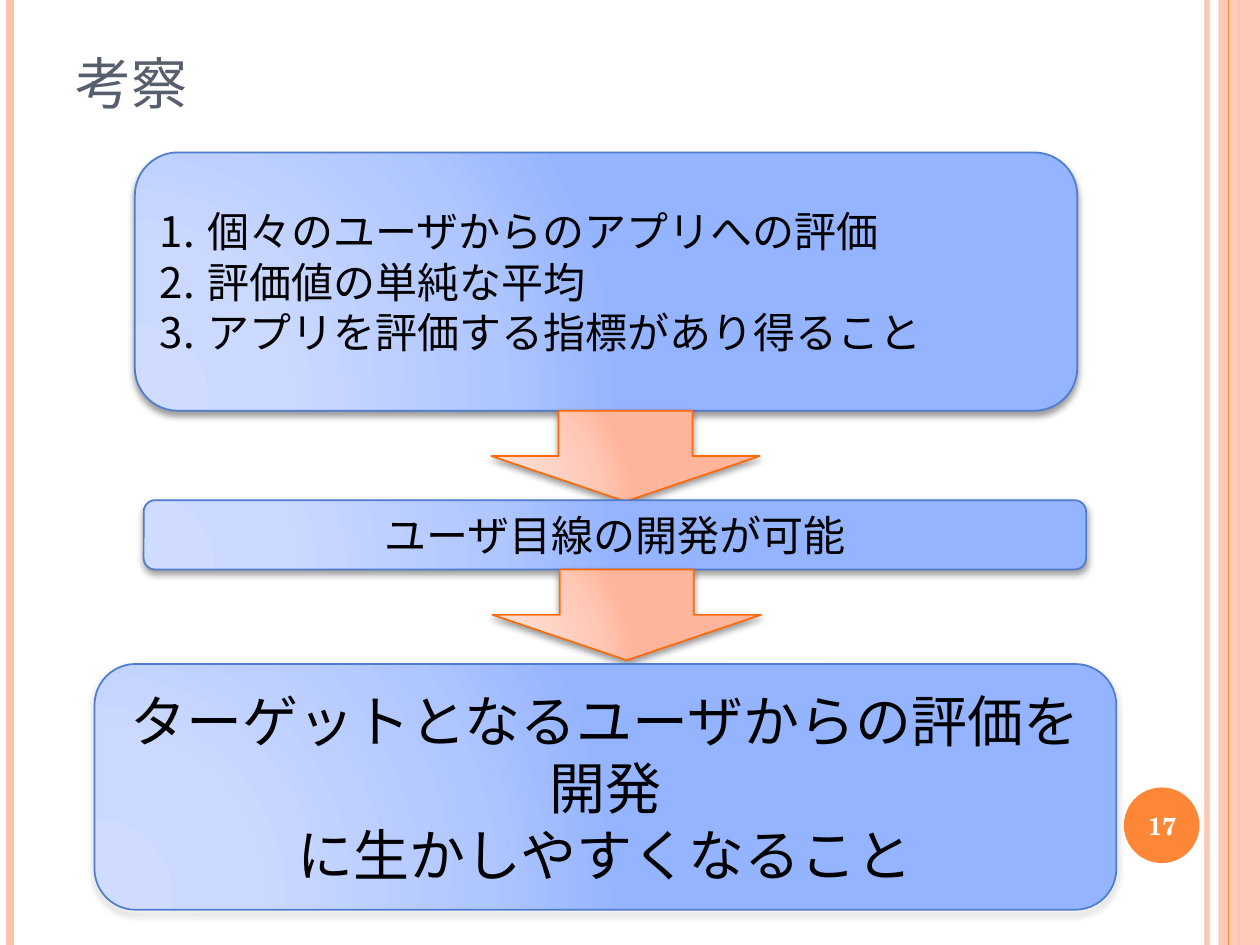
from lxml import etree
from pptx import Presentation
from pptx.dml.color import RGBColor
from pptx.enum.lang import MSO_LANGUAGE_ID as LANGUAGE
from pptx.enum.shapes import MSO_CONNECTOR, MSO_SHAPE
from pptx.enum.text import MSO_ANCHOR as ANCHOR, PP_ALIGN as ALIGN
from pptx.oxml import parse_xml
from pptx.oxml.ns import nsdecls, qn
from pptx.util import Inches, Pt

COLORS = {"peach": "FEC3AE", "orange": "FE8637", "title": "575F6D",
          "black": "000000", "white": "FFFFFF",
          "box_line": "4F7CCF", "arrow_line": "FF6B0A"}
GRADIENTS = {"box": ["CFDCFF", "CBD9FF", "AFC6FF", "95B4FF"],
             "arrow": ["FFDED5", "FFDBD0", "FFC8B6", "FFB59B"]}
STOPS = [0, 30, 75, 100]
SERIF = "TeX Gyre Schola"


def add_block(preset, kind, box):
    """Add a shape with a radial gradient, a thin outline and a soft shadow."""
    shape = slide.shapes.add_shape(preset, *map(Inches, box))
    shape.shadow.inherit = False
    shape.line.color.rgb = RGBColor.from_string(COLORS[kind + "_line"])
    shape.line.width = Pt(1)
    properties = shape._element.spPr
    stops = "".join(
        f'<a:gs pos="{stop * 1000}"><a:srgbClr val="{color}"/></a:gs>'
        for stop, color in zip(STOPS, GRADIENTS[kind]))
    properties.find(qn("a:prstGeom")).addnext(parse_xml(
        f'<a:gradFill {nsdecls("a")} rotWithShape="1"><a:gsLst>{stops}</a:gsLst>'
        '<a:path path="circle"><a:fillToRect l="5000" t="100000" r="120000" '
        'b="10000"/></a:path></a:gradFill>'))
    properties.find(qn("a:effectLst")).append(parse_xml(
        f'<a:outerShdw {nsdecls("a")} blurRad="{Pt(4)}" dist="{Pt(2)}" '
        'dir="5400000" rotWithShape="0"><a:srgbClr val="000000">'
        '<a:alpha val="40000"/></a:srgbClr></a:outerShdw>'))
    return shape


def write_text(shape, lines, size, color="black", font=SERIF, bold=False,
               align=ALIGN.CENTER, anchor=ANCHOR.MIDDLE, numbered=False):
    frame = shape.text_frame
    frame.word_wrap = True
    frame.vertical_anchor = anchor
    for index, line in enumerate(lines):
        paragraph = frame.paragraphs[0] if index == 0 else frame.add_paragraph()
        paragraph.alignment = align
        if numbered:
            settings = paragraph._p.get_or_add_pPr()
            settings.set("marL", str(Inches(0.38)))
            settings.set("indent", str(-Inches(0.38)))
            etree.SubElement(settings, qn("a:buFont"), typeface="+mj-lt")
            etree.SubElement(settings, qn("a:buAutoNum"), type="arabicPeriod")
        run = paragraph.add_run()
        run.text = line
        styles = {"size": Pt(size), "name": font, "bold": bold,
                  "language_id": LANGUAGE.JAPANESE}
        for name, value in styles.items():
            setattr(run.font, name, value)
        run.font.color.rgb = RGBColor.from_string(COLORS[color])


presentation = Presentation()
presentation.slide_width = Inches(10)
presentation.slide_height = Inches(7.5)
slide = presentation.slides.add_slide(presentation.slide_layouts[6])

# Side band and page number disc
for preset, box, color, alpha in [
        (MSO_SHAPE.RECTANGLE, (9.67, 0, 0.33, 7.5), "peach", 87),
        (MSO_SHAPE.OVAL, (8.92, 6.25, 0.6, 0.6), "orange", 100)]:
    shape = slide.shapes.add_shape(preset, *map(Inches, box))
    shape.shadow.inherit = False
    shape.fill.solid()
    shape.fill.fore_color.rgb = RGBColor.from_string(COLORS[color])
    shape.line.fill.background()
    if alpha < 100:
        fill_color = shape._element.spPr.find(".//" + qn("a:srgbClr"))
        etree.SubElement(fill_color, qn("a:alpha"), val=str(alpha * 1000))

# Vertical rules
for x, color, width, alpha in [(9.58, "peach", 3, 93), (0.08, "peach", 4.5, 100),
                               (9.83, "peach", 1.5, 100), (9.75, "orange", 0.75, 100)]:
    rule = slide.shapes.add_connector(
        MSO_CONNECTOR.STRAIGHT, Inches(x), 0, Inches(x), Inches(7.5))
    rule.line.color.rgb = RGBColor.from_string(COLORS[color])
    rule.line.width = Pt(width)
    if alpha < 100:
        line_color = rule._element.spPr.find(".//" + qn("a:srgbClr"))
        etree.SubElement(line_color, qn("a:alpha"), val=str(alpha * 1000))
    etree.SubElement(rule._element.spPr, qn("a:effectLst"))

# Title in small capitals
title = slide.shapes.add_textbox(*map(Inches, (0.5, 0.3, 8.17, 0.69)))
write_text(title, ["考察"], 40, "title", align=ALIGN.LEFT, anchor=ANCHOR.BOTTOM)
title.text_frame.paragraphs[0].runs[0].font._element.set("cap", "small")

# Findings, consequence and conclusion
findings = add_block(MSO_SHAPE.ROUNDED_RECTANGLE, "box", (1.07, 1.21, 7.48, 2.05))
write_text(findings, ["個々のユーザからのアプリへの評価", "評価値の単純な平均",
                      "アプリを評価する指標があり得ること"],
           24, font="Times New Roman", align=ALIGN.LEFT, numbered=True)
add_block(MSO_SHAPE.DOWN_ARROW, "arrow", (3.9, 3.26, 2.13, 0.72))
consequence = add_block(MSO_SHAPE.ROUNDED_RECTANGLE, "box", (1.14, 3.97, 7.48, 0.55))
write_text(consequence, ["ユーザ目線の開発が可能"], 24)
add_block(MSO_SHAPE.DOWN_ARROW, "arrow", (3.91, 4.52, 2.13, 0.72))
conclusion = add_block(MSO_SHAPE.ROUNDED_RECTANGLE, "box", (0.75, 5.27, 8.11, 1.95))
write_text(conclusion, ["ターゲットとなるユーザからの評価を開発",
                        "に生かしやすくなること"], 32)

# Page number
number = slide.shapes.add_textbox(*map(Inches, (8.89, 6.27, 0.67, 0.57)))
write_text(number, ["17"], 14, "white", bold=True)

presentation.save("out.pptx")
